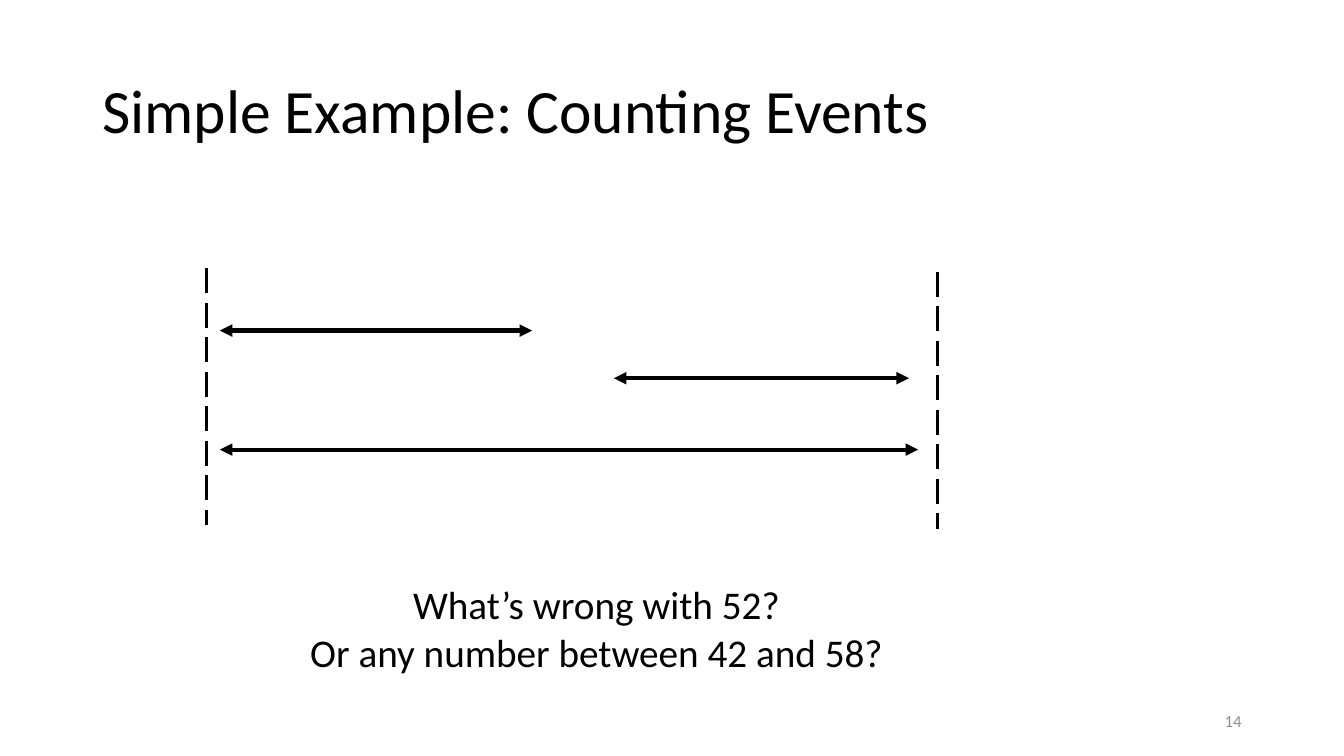
from dataclasses import dataclass
from lxml.etree import SubElement
from pptx import Presentation
from pptx.dml.color import RGBColor
from pptx.enum.dml import MSO_LINE
from pptx.enum.shapes import MSO_CONNECTOR
from pptx.enum.text import MSO_ANCHOR, PP_ALIGN
from pptx.oxml.ns import qn
from pptx.util import Cm, Pt


@dataclass(frozen=True)
class Theme:
    font: str = "Calibri"
    ink: str = "000000"
    gray: str = "8C8C8C"
    head: float = 44
    body: float = 28
    foot: float = 12
    arrow: float = 3
    dash: float = 2.25


THEME = Theme()


def add_text(slide, box, text, size=THEME.body, color=THEME.ink,
             align=PP_ALIGN.LEFT, anchor=MSO_ANCHOR.TOP, space=1.0):
    frame = slide.shapes.add_textbox(*map(Cm, box)).text_frame
    frame.word_wrap = True
    frame.vertical_anchor = anchor
    para = frame.paragraphs[0]
    para.alignment = align
    para.line_spacing = space
    run = para.add_run()
    run.text = text
    run.font.name = THEME.font
    run.font.size = Pt(size)
    run.font.color.rgb = RGBColor.from_string(color)


def add_line(slide, start, end, width):
    line = slide.shapes.add_connector(
        MSO_CONNECTOR.STRAIGHT, *map(Cm, (*start, *end)))
    line.line.color.rgb = RGBColor.from_string(THEME.ink)
    line.line.width = Pt(width)
    SubElement(line._element.spPr, qn("a:effectLst"))
    return line


def add_arrow(slide, start, end):
    line = add_line(slide, start, end, THEME.arrow)
    for tag in ("a:headEnd", "a:tailEnd"):
        SubElement(line.line._get_or_add_ln(), qn(tag), type="triangle")


def draw_title(slide, box):
    add_text(slide, box, "Simple Example: Counting Events", THEME.head,
             anchor=MSO_ANCHOR.MIDDLE, space=0.9)


def draw_spans(slide, box):
    left, top, wide, high = box
    # Dashed limits, the right one slightly lower
    for x, drop in ((left, 0), (left + wide, 0.09)):
        limit = add_line(slide, (x, top + drop),
                         (x, top + drop + high), THEME.dash)
        limit.line.dash_style = MSO_LINE.LONG_DASH
    # Ranges: start, end and depth within the box
    for start, end, y in ((0.33, 8.2, 1.57), (10.26, 17.7, 2.77),
                          (0.33, 17.93, 4.57)):
        add_arrow(slide, (left + start, top + y), (left + end, top + y))


def draw_asks(slide, box):
    left, top, wide, high = box
    asks = ("What’s wrong with 52?", "Or any number between 42 and 58?")
    step = high / len(asks)
    for row, ask in enumerate(asks):
        add_text(slide, (left, top + row * step, wide, 1.45), ask,
                 align=PP_ALIGN.CENTER)


def draw_page(slide, box):
    add_text(slide, box, "14", THEME.foot, THEME.gray,
             PP_ALIGN.RIGHT, MSO_ANCHOR.MIDDLE)


def main():
    deck = Presentation()
    deck.slide_width, deck.slide_height = Cm(33.87), Cm(19.05)
    slide = deck.slides.add_slide(deck.slide_layouts[6])
    draw_title(slide, (2.33, 1.01, 29.21, 3.68))
    draw_spans(slide, (5.21, 6.76, 18.41, 6.48))
    draw_asks(slide, (1.68, 14.5, 26.7, 2.4))
    draw_page(slide, (23.92, 17.66, 7.62, 1.01))
    deck.save("out.pptx")


if __name__ == "__main__":
    main()
